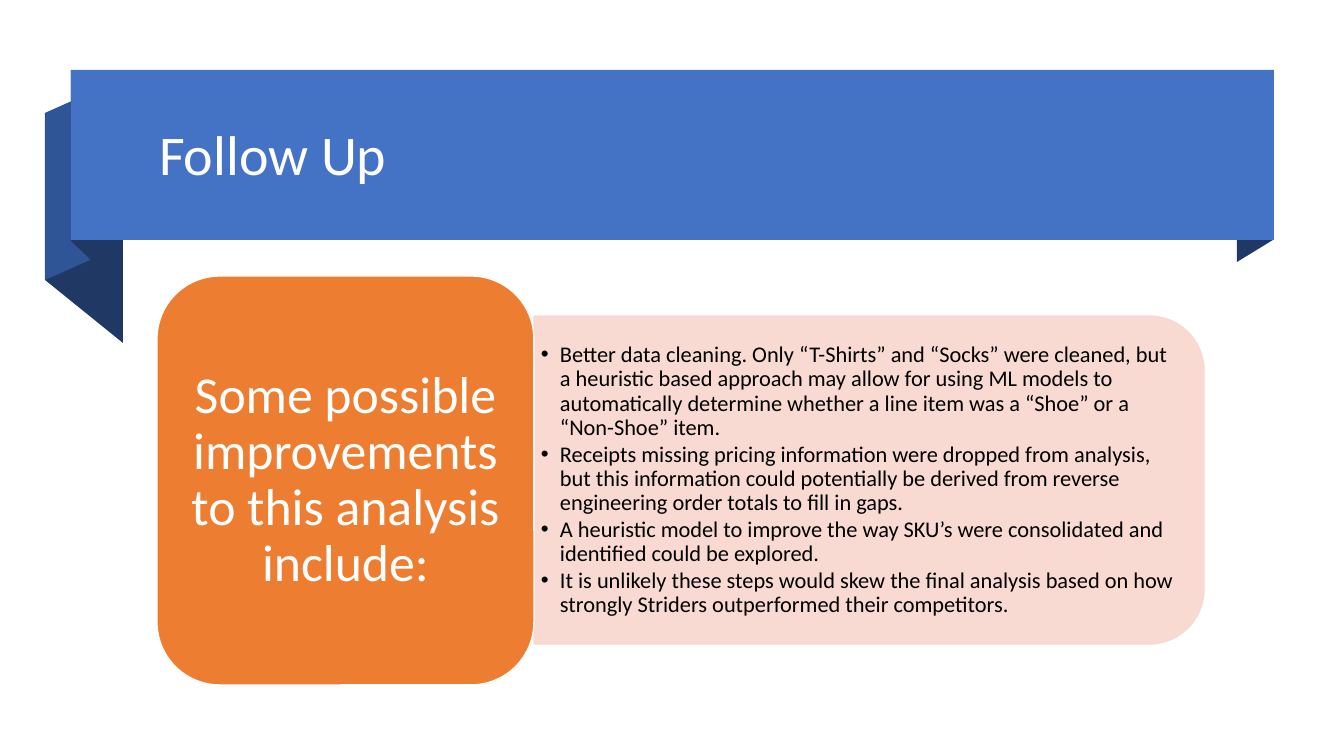
from lxml import etree
from pptx import Presentation
from pptx.dml.color import RGBColor
from pptx.enum.shapes import MSO_SHAPE
from pptx.enum.text import MSO_ANCHOR, MSO_AUTO_SIZE, PP_ALIGN
from pptx.oxml.ns import qn
from pptx.util import Pt

EMU_PER_PX = 914400 / 100.8
TITLE_AND_CONTENT = 1
RECTANGLE = MSO_SHAPE.RECTANGLE
ROUNDED = MSO_SHAPE.ROUNDED_RECTANGLE
TWO_ROUNDED = MSO_SHAPE.ROUND_2_SAME_RECTANGLE
MIDDLE = MSO_ANCHOR.MIDDLE
NO_AUTOFIT = MSO_AUTO_SIZE.NONE
LEFT, CENTER = PP_ALIGN.LEFT, PP_ALIGN.CENTER

WHITE = RGBColor(0xFF, 0xFF, 0xFF)
BLACK = RGBColor(0x00, 0x00, 0x00)
BLUE = RGBColor(0x44, 0x72, 0xC4)
MID_BLUE = RGBColor(0x2F, 0x55, 0x97)
NAVY = RGBColor(0x20, 0x38, 0x64)
ORANGE = RGBColor(0xED, 0x7D, 0x31)
PEACH = RGBColor(0xF8, 0xD7, 0xCE)

RIBBON_FOLDS = [
    (NAVY, [(1273, 240), (1237, 262), (1237, 92), (1273, 70)]),
    (NAVY, [(123, 343), (45, 280), (45, 113), (123, 176)]),
    (MID_BLUE, [(90, 260), (45, 280), (45, 113), (90, 93)]),
    (NAVY, [(90, 259), (71, 241), (71, 70), (90, 90)]),
]
IMPROVEMENTS = [
    "Better data cleaning. Only “T-Shirts” and “Socks” were cleaned, but a heuristic "
    "based approach may allow for using ML models to automatically determine whether "
    "a line item was a “Shoe” or a “Non-Shoe” item.",
    "Receipts missing pricing information were dropped from analysis, but this "
    "information could potentially be derived from reverse engineering order totals "
    "to fill in gaps.",
    "A heuristic model to improve the way SKU’s were consolidated and identified "
    "could be explored.",
    "It is unlikely these steps would skew the final analysis based on how strongly "
    "Striders outperformed their competitors.",
]


def px(length):
    return round(length * EMU_PER_PX)


class SlideBuilder:
    """Holds the text style and the current slide."""

    font = "Calibri"
    line_spacing = 0.9

    def __init__(self, slide):
        self.slide = slide

    def paint(self, shape, fill, line=None):
        shape.shadow.inherit = False
        shape.fill.solid()
        shape.fill.fore_color.rgb = fill
        if line is None:
            shape.line.fill.background()
        else:
            shape.line.color.rgb = line
            shape.line.width = Pt(1)

    def freeform(self, points, fill):
        builder = self.slide.shapes.build_freeform(*points[0], scale=EMU_PER_PX)
        builder.add_line_segments(points[1:], close=True)
        self.paint(builder.convert_to_shape(), fill)

    def box(self, kind, left, top, width, height, fill, line=None):
        shape = self.slide.shapes.add_shape(
            kind, px(left), px(top), px(width), px(height))
        self.paint(shape, fill, line)
        return shape

    def set_opacity(self, shape, percent):
        for color in shape.element.spPr.iter(qn("a:srgbClr")):
            etree.SubElement(color, qn("a:alpha"), val=str(percent * 1000))

    def set_text(self, shape, lines, size, color, align, inset_x, inset_y, space_after=0):
        frame = shape.text_frame
        frame.text = "\n".join(lines)
        frame.word_wrap = True
        frame.auto_size = NO_AUTOFIT
        frame.vertical_anchor = MIDDLE
        frame.margin_left = frame.margin_right = px(inset_x)
        frame.margin_top = frame.margin_bottom = px(inset_y)
        for paragraph in frame.paragraphs:
            paragraph.alignment = align
            paragraph.line_spacing = self.line_spacing
            paragraph.space_before = Pt(0)
            paragraph.space_after = Pt(space_after)
            for run in paragraph.runs:
                run.font.name = self.font
                run.font.size = Pt(size)
                run.font.color.rgb = color

    def place(self, placeholder, left, top, width, height):
        """Moves a placeholder into position, in front of what is drawn so far."""
        placeholder.left, placeholder.top = px(left), px(top)
        placeholder.width, placeholder.height = px(width), px(height)
        placeholder.element.getparent().append(placeholder.element)
        return placeholder

    def title(self, text, *bounds):
        shape = self.place(self.slide.shapes.title, *bounds)
        self.set_text(shape, [text], 40, WHITE, LEFT, 10, 5)

    def bullets(self, lines, *bounds):
        shape = self.place(self.slide.placeholders[1], *bounds)
        self.set_text(shape, lines, 16, BLACK, LEFT, 7, 3, space_after=2)
        for paragraph in shape.text_frame.paragraphs:
            properties = paragraph._p.get_or_add_pPr()
            properties.set("marL", str(px(19)))
            properties.set("indent", str(px(-19)))
            etree.SubElement(properties, qn("a:buChar"), char="•")


def main():
    presentation = Presentation()
    presentation.slide_width, presentation.slide_height = px(1344), px(756)
    layout = presentation.slide_layouts[TITLE_AND_CONTENT]
    builder = SlideBuilder(presentation.slides.add_slide(layout))

    # Title ribbon
    for color, points in RIBBON_FOLDS:
        builder.freeform(points, color)
    builder.box(RECTANGLE, 71, 70, 1203, 170, BLUE)
    builder.title("Follow Up", 149, 84, 1103, 146)

    # Improvements panel: a tall shape turned so its round corners face right
    panel = builder.box(TWO_ROUNDED, 705, 145, 328, 670, PEACH, PEACH)
    panel.rotation = 90
    builder.set_opacity(panel, 90)
    builder.bullets(IMPROVEMENTS, 534, 333, 655, 295)

    # Lead-in card
    card = builder.box(ROUNDED, 157, 276, 377, 409, ORANGE, WHITE)
    builder.set_text(card, ["Some possible improvements to this analysis include:"],
                     37, WHITE, CENTER, 15, 8)

    presentation.save("out.pptx")


if __name__ == "__main__":
    main()
